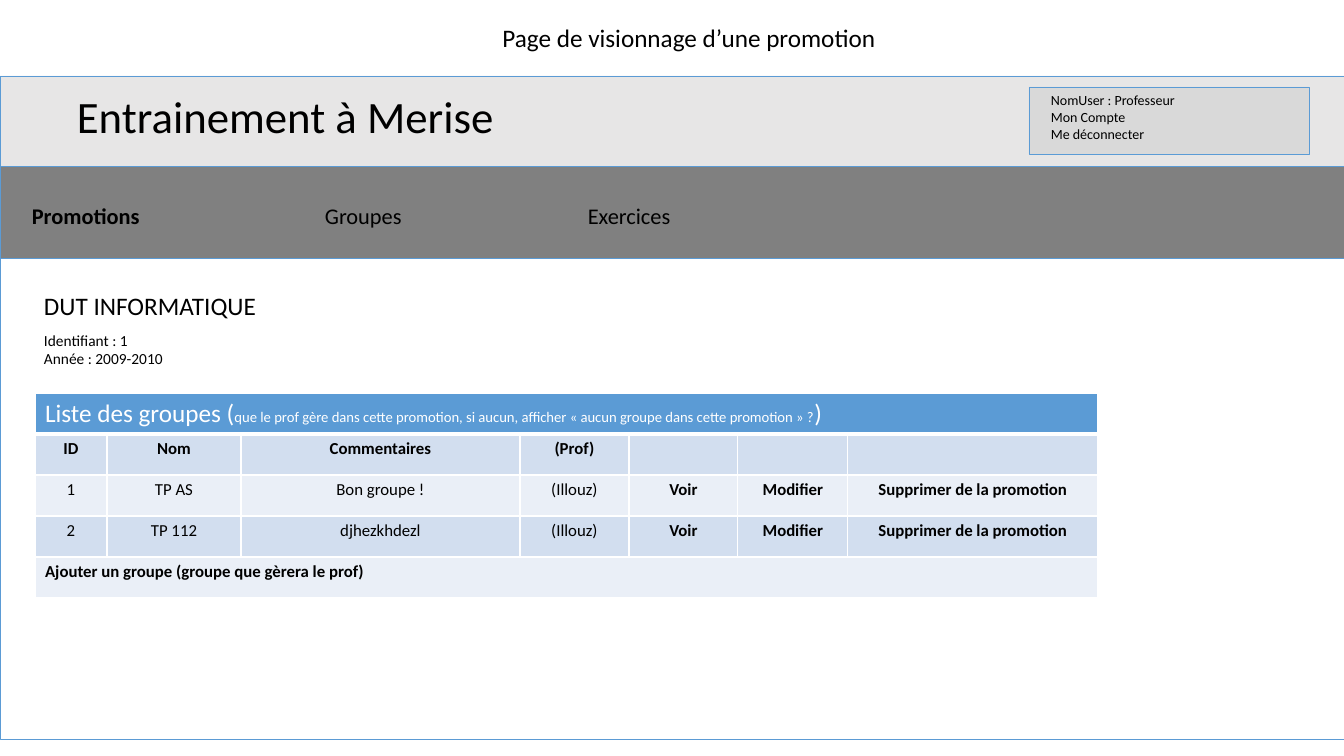
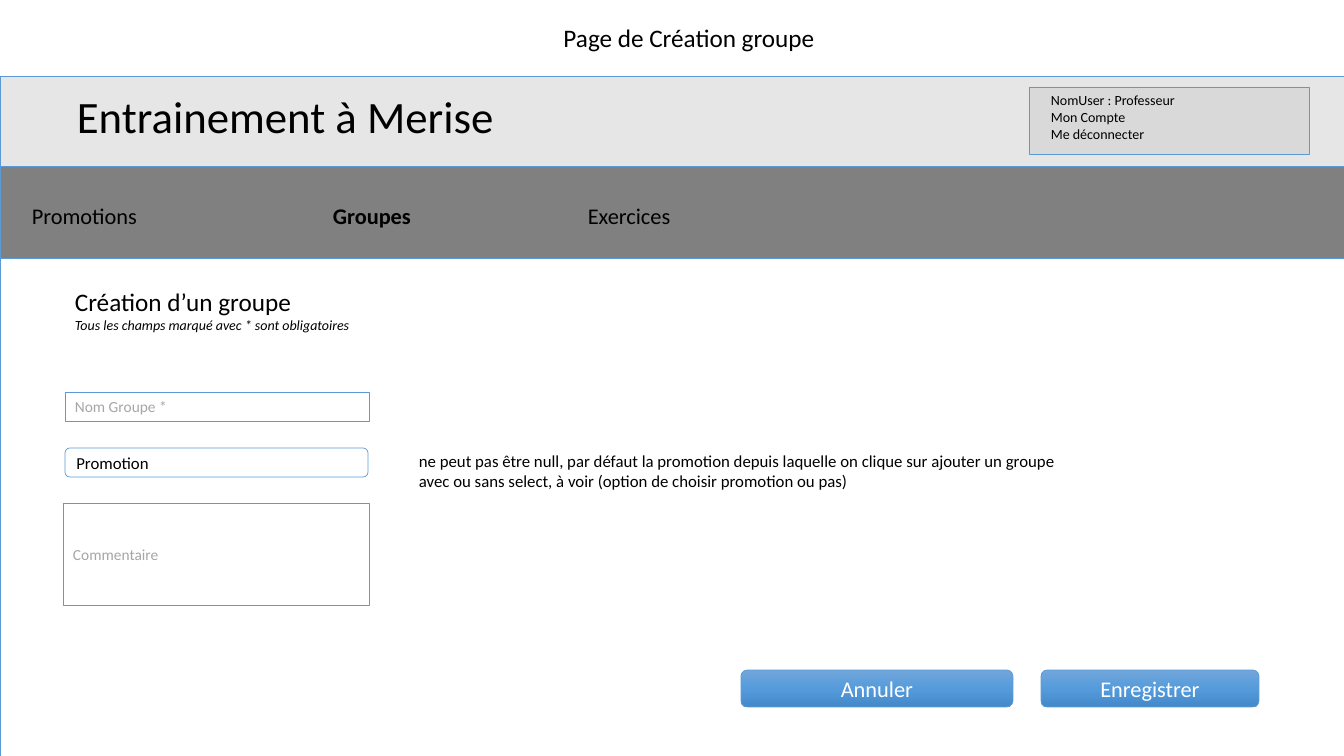
from copy import deepcopy
from dataclasses import dataclass

from lxml import etree
from pptx import Presentation
from pptx.dml.color import RGBColor
from pptx.enum.shapes import MSO_SHAPE
from pptx.enum.text import MSO_ANCHOR, MSO_AUTO_SIZE, PP_ALIGN
from pptx.oxml.ns import qn
from pptx.util import Emu, Pt

RECT, ROUND = MSO_SHAPE.RECTANGLE, MSO_SHAPE.ROUNDED_RECTANGLE
TOP, MIDDLE = MSO_ANCHOR.TOP, MSO_ANCHOR.MIDDLE
LEFT, CENTER = PP_ALIGN.LEFT, PP_ALIGN.CENTER
FIT, FIXED = MSO_AUTO_SIZE.SHAPE_TO_FIT_TEXT, MSO_AUTO_SIZE.NONE
TITLE_ONLY = 5
EMU_PER_PX = 914400 / 100.8


@dataclass(frozen=True)
class Theme:
    font: str = "Calibri"
    black: str = "000000"
    white: str = "FFFFFF"
    accent: str = "5B9BD5"
    header: str = "E7E6E6"
    nav: str = "808080"
    account: str = "D9D9D9"
    hint: str = "A6A6A6"
    bands: tuple = ("D2DEEF", "EAEFF7")
    gradient: tuple = ((0, "71A6DB"), (0.5, "559BDB"), (1, "448ACA"))
    brand: float = 32
    heading: float = 18
    label: float = 16
    body: float = 12
    small: float = 11
    note: float = 10.5
    tiny: float = 10
    outline: float = 0.5
    border: float = 1
    head_border: float = 3


T = Theme()


@dataclass(frozen=True)
class Box:
    x: int
    y: int
    w: int
    h: int

    def sub(self, dx, dy, w, h):
        return Box(self.x + dx, self.y + dy, w, h)

    def emu(self):
        return [px(v) for v in (self.x, self.y, self.w, self.h)]


@dataclass(frozen=True)
class Line:
    text: str
    size: float = T.body
    color: str = T.black
    bold: bool = False
    italic: bool = False
    align: PP_ALIGN = LEFT


def px(value):
    return Emu(round(value * EMU_PER_PX))


def rgb(color):
    return RGBColor.from_string(color)


def write(tf, *lines):
    for i, line in enumerate(lines):
        p = tf.add_paragraph() if i else tf.paragraphs[0]
        p.text = line.text
        p.alignment = line.align
        font = p.font
        font.name, font.size = T.font, Pt(line.size)
        font.bold, font.italic = line.bold, line.italic
        font.color.rgb = rgb(line.color)


def add_text(s, box, *lines, wrap=True):
    tf = s.shapes.add_textbox(*box.emu()).text_frame
    tf.word_wrap = wrap
    tf.auto_size = FIT
    write(tf, *lines)


def add_box(s, box, fill=None, kind=RECT, line=None):
    sp = s.shapes.add_shape(kind, *box.emu())
    sp.shadow.inherit = False
    sp.line.color.rgb = rgb(T.accent)
    sp.line.width = Pt(T.outline)
    if fill:
        sp.fill.solid()
        sp.fill.fore_color.rgb = rgb(fill)
    else:
        sp.fill.background()
    if line:
        sp.text_frame.vertical_anchor = MIDDLE
        write(sp.text_frame, line)
    return sp


def add_button(s, box, label):
    sp = add_box(s, box, T.accent, ROUND, Line(label, T.label, T.white, align=CENTER))
    sp.fill.gradient()
    sp.fill.gradient_angle = 270
    stops = sp._element.spPr.find(".//" + qn("a:gsLst"))
    stops.insert(1, deepcopy(stops[0]))
    for stop, (position, color) in zip(sp.fill.gradient_stops, T.gradient):
        stop.position = position
        stop.color.rgb = rgb(color)


def add_title(s, box, text):
    title = s.shapes.title
    title.left, title.top, title.width, title.height = box.emu()
    tf = title.text_frame
    tf.auto_size = FIXED
    tf.vertical_anchor = TOP
    write(tf, Line(text, T.heading, align=CENTER))


def add_header(s, box):
    add_box(s, box, T.header)
    add_text(s, box.sub(67, 8, 594, 64), Line("Entrainement à Merise", T.brand))
    add_box(s, box.sub(1029, 11, 280, 67), T.account)
    entries = ("NomUser : Professeur", "Mon Compte", "Me déconnecter")
    add_text(s, box.sub(1041, 11, 230, 62), *(Line(e, T.tiny) for e in entries))


def add_nav(s, box, tabs, active):
    add_box(s, box, T.nav)
    for label, (x, w) in tabs.items():
        add_text(s, box.sub(x, 31, w, 37), Line(label, T.label, bold=label == active))


def add_page(prs, title, tabs, active, bottom):
    s = prs.slides.add_slide(prs.slide_layouts[TITLE_ONLY])
    add_title(s, Box(258, 17, 862, 40), title)
    add_nav(s, Box(0, 166, 1344, 92), tabs, active)
    add_header(s, Box(0, 76, 1344, 90))
    content = Box(0, 258, 1344, bottom - 258)
    add_box(s, content)
    return s, content


def style_cell(cell, fill, bottom=T.border):
    tc_pr = cell._tc.get_or_add_tcPr()
    for side in "LRTB":
        width = bottom if side == "B" else T.border
        ln = etree.SubElement(tc_pr, qn(f"a:ln{side}"), w=str(Pt(width)))
        solid = etree.SubElement(ln, qn("a:solidFill"))
        etree.SubElement(solid, qn("a:srgbClr"), val=T.white)
    cell.fill.solid()
    cell.fill.fore_color.rgb = rgb(fill)


def write_list_heading(cell):
    p = cell.text_frame.paragraphs[0]
    note = ("que le prof gère dans cette promotion, si aucun, afficher "
            "«\u00a0aucun groupe dans cette promotion\u00a0» ?")
    for text, size in (("Liste des groupes (", T.heading), (note, T.note), (")", T.heading)):
        r = p.add_run()
        r.text = text
        r.font.name, r.font.size, r.font.bold = T.font, Pt(size), False
        r.font.color.rgb = rgb(T.white)


def add_group_table(s, box):
    widths = (72, 134, 279, 109, 109, 110, 250)
    actions = ("Voir", "Modifier", "Supprimer de la promotion")
    rows = (
        ("ID", "Nom", "Commentaires", "(Prof)", "", "", ""),
        ("1", "TP AS", "Bon groupe !", "(Illouz)", *actions),
        ("2", "TP 112", "djhezkhdezl", "(Illouz)", *actions),
    )
    last = len(rows) + 1
    table = s.shapes.add_table(last + 1, len(widths), *box.emu()).table
    for column, width in zip(table.columns, widths):
        column.width = px(width)
    for i, row in enumerate(table.rows):
        row.height = px(box.h / (last + 1))
        for cell in row.cells:
            if i:
                style_cell(cell, T.bands[(i - 1) % 2])
            else:
                style_cell(cell, T.accent, T.head_border)
    for i, row in enumerate(rows, 1):
        for j, text in enumerate(row):
            line = Line(text, bold=i == 1 or j > 3, align=CENTER)
            write(table.cell(i, j).text_frame, line)
    for i in (0, last):
        table.cell(i, 0).merge(table.cell(i, len(widths) - 1))
    write_list_heading(table.cell(0, 0))
    write(table.cell(last, 0).text_frame,
          Line("Ajouter un groupe (groupe que gèrera le prof)", bold=True))


def add_promotion_page(prs):
    tabs = {"Promotions": (22, 334), "Groupes": (315, 246), "Exercices": (578, 299)}
    s, box = add_page(prs, "Page de visionnage d’une promotion", tabs, "Promotions", 739)
    add_text(s, box.sub(34, 27, 366, 40), Line("DUT INFORMATIQUE", T.heading))
    add_text(s, box.sub(34, 68, 322, 47),
             Line("Identifiant : 1", T.small), Line("Année : 2009-2010", T.small))
    add_group_table(s, box.sub(35, 135, 1063, 205))


def add_group_form_page(prs):
    tabs = {"Promotions": (22, 299), "Groupes": (323, 246), "Exercices": (578, 299)}
    s, box = add_page(prs, "Page de Création groupe", tabs, "Groupes", 756)
    for x, w, label in ((741, 272, "Annuler"), (1041, 218, "Enregistrer")):
        add_button(s, box.sub(x, 412, w, 37), label)
    fields = (
        (RECT, (65, 134, 304, 29), Line("Nom Groupe *", T.small, T.hint)),
        (ROUND, (65, 190, 303, 29), Line("Promotion")),
        (RECT, (63, 245, 306, 102), Line("Commentaire", T.small, T.hint)),
    )
    for kind, place, line in fields:
        add_box(s, box.sub(*place), T.white, kind, line)
    add_text(s, box.sub(65, 23, 461, 59),
             Line("Création d’un groupe", T.heading),
             Line("Tous les champs marqué avec * sont obligatoires", T.tiny, italic=True))
    add_text(s, box.sub(409, 188, 665, 50),
             Line("ne peut pas être null, par défaut la promotion depuis laquelle "
                  "on clique sur ajouter un groupe\v"
                  "avec ou sans select, à voir (option de choisir promotion ou pas)"),
             wrap=False)


prs = Presentation()
prs.slide_width, prs.slide_height = px(1344), px(756)
add_promotion_page(prs)
add_group_form_page(prs)
prs.save("out.pptx")
